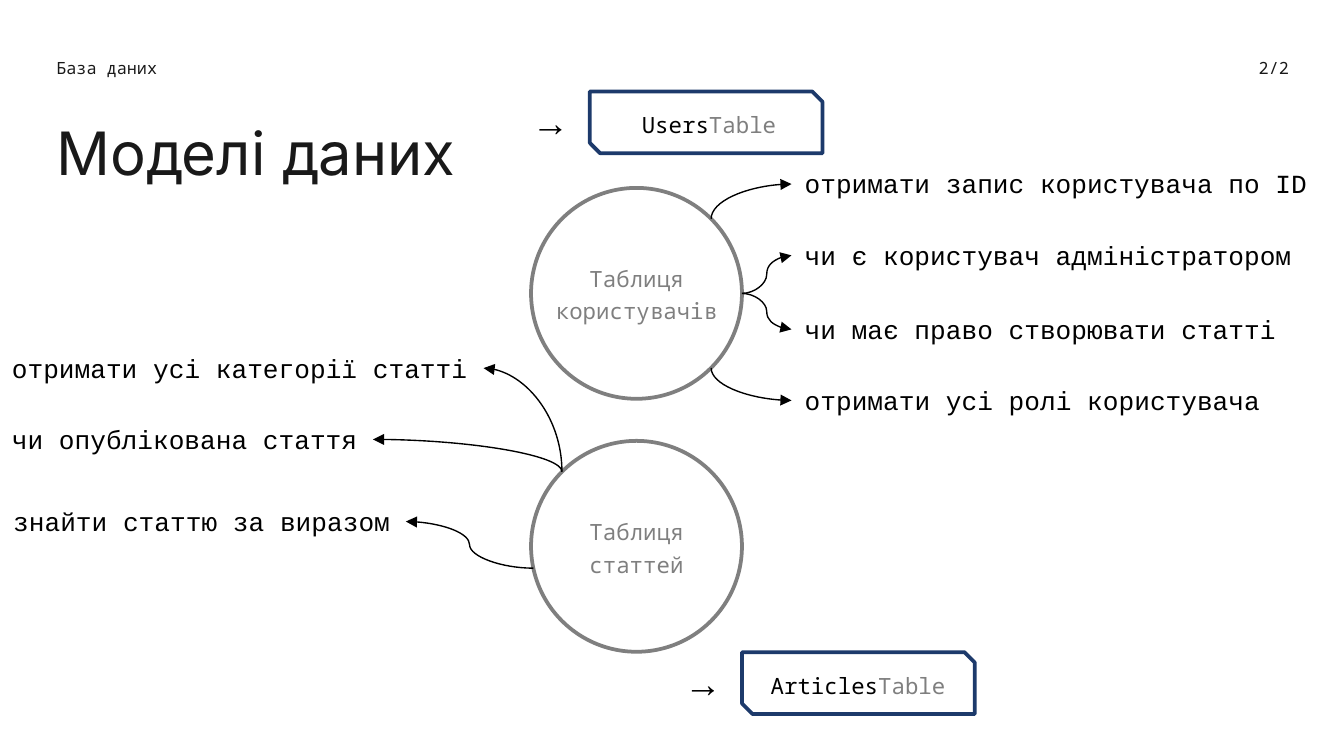
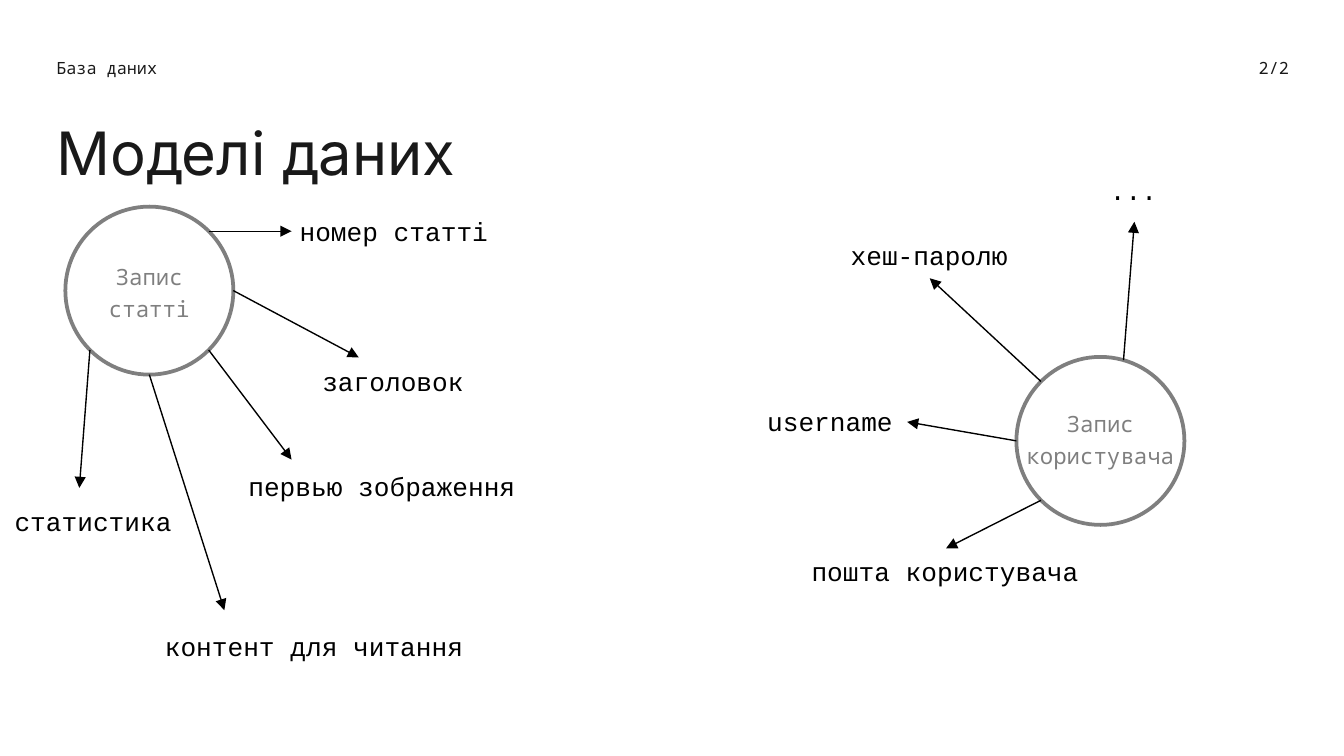
from math import cos, radians, sin

from lxml import etree
from pptx import Presentation
from pptx.dml.color import RGBColor
from pptx.enum.shapes import MSO_CONNECTOR, MSO_SHAPE
from pptx.enum.text import MSO_AUTO_SIZE, PP_ALIGN
from pptx.oxml.ns import qn
from pptx.util import Pt

STRAIGHT, CURVE = MSO_CONNECTOR.STRAIGHT, MSO_CONNECTOR.CURVE
ELLIPSE, SNIPPED = MSO_SHAPE.OVAL, MSO_SHAPE.SNIP_2_DIAG_RECTANGLE
LEFT, CENTER, RIGHT = PP_ALIGN.LEFT, PP_ALIGN.CENTER, PP_ALIGN.RIGHT
FIT_SHAPE = MSO_AUTO_SIZE.SHAPE_TO_FIT_TEXT
TOP_SIDE, BOTTOM_SIDE, RIGHT_SIDE = 0, 2, 3

INK, GRAY, NAVY, BLACK = "191919", "7F7F7F", "1D3A6B", "000000"
MONO, SANS, TYPEWRITER, ARIAL = "Noto Sans Mono", "Inter", "Courier New", "Arial"
LABEL_HEIGHT = 24.5
CHAR_WIDTH = 8.46


def rgb(code):
    """Turn a hex string into a colour."""
    return RGBColor.from_string(code)


def text(shapes, content, left, top, width, height, *, size, font, color=BLACK,
         align=LEFT, spacing=None, padded=False, wrap=True, suffix=""):
    """Add a text box, one paragraph per line, with an optional grey suffix."""
    box = shapes.add_textbox(Pt(left), Pt(top), Pt(width), Pt(height))
    frame = box.text_frame
    frame.word_wrap = wrap
    frame.auto_size = FIT_SHAPE
    if not padded:
        frame.margin_left = frame.margin_right = 0
        frame.margin_top = frame.margin_bottom = 0
    for index, line in enumerate(content.split("\n")):
        paragraph = frame.add_paragraph() if index else frame.paragraphs[0]
        paragraph.alignment = align
        paragraph.line_spacing = spacing
        for part, ink in ((line, color), (suffix, GRAY)):
            if part:
                run = paragraph.add_run()
                run.text = part
                run.font.size = Pt(size)
                run.font.name = font
                run.font.color.rgb = rgb(ink)
    return box


def outline(shapes, kind, left, top, width, height, color):
    """Add an unfilled shape with a 2 pt outline."""
    shape = shapes.add_shape(kind, Pt(left), Pt(top), Pt(width), Pt(height))
    shape.shadow.inherit = False
    shape.fill.background()
    shape.line.color.rgb = rgb(color)
    shape.line.width = Pt(2)


def entity(slide, caption, center, radius, caption_top, caption_width):
    """Add a captioned circle and return a function giving points on its rim."""
    x, y = center
    shapes = slide.shapes.add_group_shape().shapes
    text(shapes, caption, x - caption_width / 2, caption_top, caption_width, 34.6,
         size=12, font=MONO, color=GRAY, align=CENTER, spacing=1.2)
    outline(shapes, ELLIPSE, x - radius, y - radius, 2 * radius, 2 * radius, GRAY)

    def rim(degrees):
        """Return the rim point at an angle counted clockwise from the right."""
        angle = radians(degrees)
        return x + radius * cos(angle), y + radius * sin(angle)

    return rim


def label_width(caption):
    """Return the width of a label box."""
    return 14.4 + CHAR_WIDTH * len(caption)


def label(slide, caption, left, top):
    """Add a one-line typewriter label."""
    return text(slide.shapes, caption, left, top, label_width(caption), LABEL_HEIGHT,
                size=14, font=TYPEWRITER, padded=True, wrap=False)


def arrow(slide, start, end, kind=STRAIGHT):
    """Add a thin black arrow."""
    connector = slide.shapes.add_connector(kind, *map(Pt, (*start, *end)))
    connector.line.color.rgb = rgb(BLACK)
    connector.line.width = Pt(0.75)
    etree.SubElement(connector.line._get_or_add_ln(), qn("a:tailEnd"), type="triangle")
    etree.SubElement(connector._element.spPr, qn("a:effectLst"))
    return connector


def bend(slide, start, end):
    """Add a quarter-turn arrow that leaves vertically and arrives horizontally."""
    half_dx, half_dy = (end[0] - start[0]) / 2, (end[1] - start[1]) / 2
    x, y = start[0] + half_dx, start[1] + half_dy
    turn = 90 if half_dx > 0 > half_dy else 270
    sign = 1 if turn == 90 else -1
    connector = arrow(slide, (x - sign * half_dy, y + sign * half_dx),
                      (x + sign * half_dy, y - sign * half_dx), CURVE)
    properties = connector._element.spPr
    properties.find(qn("a:xfrm")).set("rot", str(turn * 60000))
    properties.find(qn("a:prstGeom")).set("prst", "curvedConnector2")


def wave(slide, start, end):
    """Add an S-shaped arrow."""
    arrow(slide, start, end, CURVE)


def table_badge(slide, name, left, top, name_left, name_width):
    """Add a table class name in a snipped frame, with an arrow before it."""
    outline(slide.shapes, SNIPPED, left, top, 124.6, 33.1, NAVY)
    text(slide.shapes, name, name_left, top + 7.9, name_width, 17.3, size=12,
         font=MONO, align=CENTER, spacing=1.2, suffix="Table")
    text(slide.shapes, "→", left - 38.1, top + 0.7, 25.2, 31.7, size=20,
         font=ARIAL, padded=True)


def new_slide(deck):
    """Add a blank slide with the shared heading."""
    slide = deck.slides.add_slide(deck.slide_layouts[6])
    text(slide.shapes, "Моделі даних", 30.2, 61.9, 292.3, 38.9,
         size=32, font=SANS, color=INK)
    text(slide.shapes, "База даних", 30.2, 31, 90.7, 10.8,
         size=9, font=MONO, color=INK)
    text(slide.shapes, "2/2", 607.7, 31, 82.8, 10.8,
         size=9, font=MONO, color=INK, align=RIGHT)
    return slide


def tables_slide(deck):
    """Build the slide with the two tables and their queries."""
    slide = new_slide(deck)
    users = entity(slide, "Таблиця\nкористувачів", (341, 157.2), 56.5, 139, 113)
    articles = entity(slide, "Таблиця\nстаттей", (341, 292.7), 56.5, 275, 113)
    table_badge(slide, "Users", 316, 49, 334.8, 90)
    table_badge(slide, "Articles", 397.6, 349.4, 403.2, 113)
    user_queries = (
        ("отримати запис користувача по ID", 86.4, bend, -45),
        ("чи є користувач адміністратором", 124.6, wave, 0),
        ("чи має право створювати статті", 164.2, wave, 0),
        ("отримати усі ролі користувача", 202.3, bend, 45),
    )
    for caption, top, draw, angle in user_queries:
        label(slide, caption, 424, top)
        draw(slide, users(angle), (424, top + LABEL_HEIGHT / 2))
    article_queries = (
        ("отримати усі категорії статті", -0.7, 185, bend, 225),
        ("чи опублікована стаття", -0.7, 223.2, bend, 225),
        ("знайти статтю за виразом", 0, 267.2, wave, 168),
    )
    for caption, left, top, draw, angle in article_queries:
        label(slide, caption, left, top)
        draw(slide, articles(angle),
             (left + label_width(caption), top + LABEL_HEIGHT / 2))


def records_slide(deck):
    """Build the slide with the fields of the two records."""
    slide = new_slide(deck)
    user = entity(slide, "Запис\nкористувача", (589.5, 236.2), 45, 216.7, 84.2)
    article = entity(slide, "Запис\nстатті", (80, 155.7), 45, 138.2, 84.2)
    fields = (
        ("номер статті", 153.4, 111.6, article(-45), (156.2, 123.9), None),
        ("заголовок", 165.6, 192.2, article(0), (192.2, 191.5), None),
        ("первью зображення", 126, 248.4, article(45), (156.2, 246.2), None),
        ("контент для читання", 81.2, 334.1, article(90), (120.2, 326.9), None),
        ("статистика", 0.7, 267.1, article(135), (42.5, 261.4), None),
        ("пошта користувача", 427.7, 293.8, user(135), (506.9, 293.8), TOP_SIDE),
        ("username", 403.9, 213.8, user(180), (486, 226), RIGHT_SIDE),
        ("хеш-паролю", 448.6, 124.6, user(225), (498.2, 149), BOTTOM_SIDE),
        ("...", 587.5, 90, user(-74), (607.7, 118.8), None),
    )
    for caption, left, top, start, end, side in fields:
        field = label(slide, caption, left, top)
        pointer = arrow(slide, start, end)
        if side is not None:
            pointer.end_connect(field, side)


def main():
    """Build and save the deck."""
    deck = Presentation()
    deck.slide_width, deck.slide_height = Pt(720), Pt(405)
    tables_slide(deck)
    records_slide(deck)
    deck.save("out.pptx")


if __name__ == "__main__":
    main()
